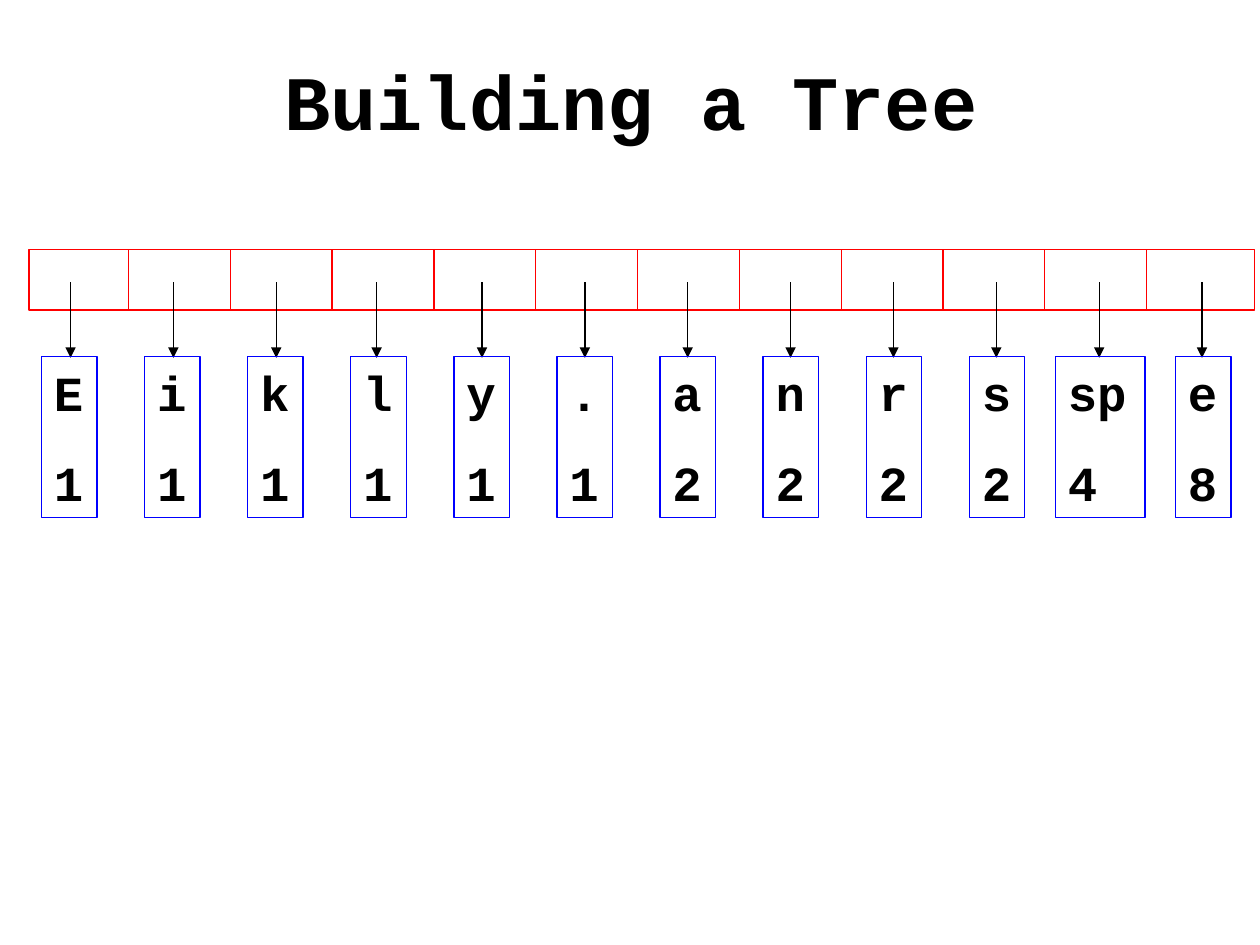
from dataclasses import dataclass

from lxml.etree import SubElement
from pptx import Presentation
from pptx.dml.color import RGBColor
from pptx.enum.shapes import MSO_CONNECTOR, MSO_SHAPE
from pptx.enum.text import MSO_ANCHOR, MSO_AUTO_SIZE, PP_ALIGN
from pptx.oxml.ns import qn
from pptx.shapes.autoshape import Shape
from pptx.slide import Slide
from pptx.text.text import Font
from pptx.util import Inches, Pt

BLACK = RGBColor(0, 0, 0)
WHITE = RGBColor(255, 255, 255)
RED = RGBColor(255, 0, 0)
BLUE = RGBColor(0, 0, 255)
TYPEFACE = {"name": "Courier New", "bold": True}
LINE_WIDTH = Pt(0.75)


@dataclass(frozen=True)
class Columns:
    first: float
    last: float
    count: int

    def at(self, index: int) -> float:
        return self.first + index * (self.last - self.first) / (self.count - 1)


@dataclass(frozen=True)
class Node:
    symbol: str
    frequency: int
    width: float = 0.44
    arrow_shift: float = 0


NODES = [
    Node("E", 1), Node("i", 1), Node("k", 1), Node("l", 1, arrow_shift=-0.02),
    Node("y", 1), Node(".", 1), Node("a", 2), Node("n", 2), Node("r", 2),
    Node("s", 2), Node("sp", 4, width=0.71), Node("e", 8),
]
NODE_COLUMNS = Columns(0.55, 9.55, len(NODES))
ARROW_COLUMNS = Columns(0.56, 9.54, len(NODES))
DIVIDERS = Columns(1.02, 9.1, len(NODES) - 1)
QUEUE_LEFT, QUEUE_TOP, QUEUE_WIDTH, QUEUE_HEIGHT = 0.23, 1.98, 9.73, 0.48
ARROW_TOP, ARROW_BOTTOM = 2.24, 2.84
NODE_TOP, NODE_HEIGHT = 2.83, 1.28


def apply_format(target: object, values: dict) -> None:
    for name, value in values.items():
        setattr(target, name, value)


def format_font(font: Font, size: int) -> None:
    apply_format(font, {**TYPEFACE, "size": Pt(size)})
    font.color.rgb = BLACK


def add_title(page: Slide, text: str) -> None:
    title = page.shapes.title
    apply_format(title, {"left": Inches(0.76), "top": Inches(0.17),
                         "width": Inches(8.5), "height": Inches(1.25)})
    frame = title.text_frame
    apply_format(frame, {"text": text, "vertical_anchor": MSO_ANCHOR.MIDDLE})
    paragraph = frame.paragraphs[0]
    paragraph.alignment = PP_ALIGN.CENTER
    format_font(paragraph.runs[0].font, 44)


def add_box(page: Slide, left: float, top: float, width: float, height: float,
            color: RGBColor) -> Shape:
    box = page.shapes.add_shape(MSO_SHAPE.RECTANGLE, Inches(left), Inches(top),
                                Inches(width), Inches(height))
    box.shadow.inherit = False
    box.fill.background()
    box.line.color.rgb = color
    box.line.width = LINE_WIDTH
    return box


def add_vertical(page: Slide, x: float, top: float, bottom: float,
                 color: RGBColor, arrow: bool = False) -> None:
    connector = page.shapes.add_connector(
        MSO_CONNECTOR.STRAIGHT, Inches(x), Inches(top), Inches(x), Inches(bottom))
    connector.line.color.rgb = color
    connector.line.width = LINE_WIDTH
    properties = connector.element.spPr
    if arrow:
        SubElement(properties.find(qn("a:ln")), qn("a:tailEnd"), type="triangle")
    SubElement(properties, qn("a:effectLst"))


def add_queue(page: Slide) -> None:
    queue = add_box(page, QUEUE_LEFT, QUEUE_TOP, QUEUE_WIDTH, QUEUE_HEIGHT, RED)
    queue.fill.solid()
    queue.fill.fore_color.rgb = WHITE
    for index in range(DIVIDERS.count):
        add_vertical(page, DIVIDERS.at(index), QUEUE_TOP,
                     QUEUE_TOP + QUEUE_HEIGHT, RED)


def add_node(page: Slide, node: Node, center: float) -> None:
    box = add_box(page, center - node.width / 2, NODE_TOP,
                  node.width, NODE_HEIGHT, BLUE)
    frame = box.text_frame
    apply_format(frame, {
        "text": f"{node.symbol}\n{node.frequency}", "word_wrap": False,
        "auto_size": MSO_AUTO_SIZE.NONE, "vertical_anchor": MSO_ANCHOR.TOP,
        "margin_left": Inches(0.1), "margin_right": Inches(0.1),
        "margin_top": Inches(0.05), "margin_bottom": Inches(0.05),
    })
    for paragraph, gap in zip(frame.paragraphs, (0, 17.5)):
        apply_format(paragraph, {"alignment": PP_ALIGN.LEFT,
                                 "space_before": Pt(gap)})
        format_font(paragraph.runs[0].font, 28)


def main() -> None:
    deck = Presentation()
    apply_format(deck, {"slide_width": Inches(10), "slide_height": Inches(7.5)})
    page = deck.slides.add_slide(deck.slide_layouts[5])
    add_title(page, "Building a Tree")
    add_queue(page)
    for index, node in enumerate(NODES):
        add_vertical(page, ARROW_COLUMNS.at(index) + node.arrow_shift,
                     ARROW_TOP, ARROW_BOTTOM, BLACK, arrow=True)
        add_node(page, node, NODE_COLUMNS.at(index))
    deck.save("out.pptx")


if __name__ == "__main__":
    main()
